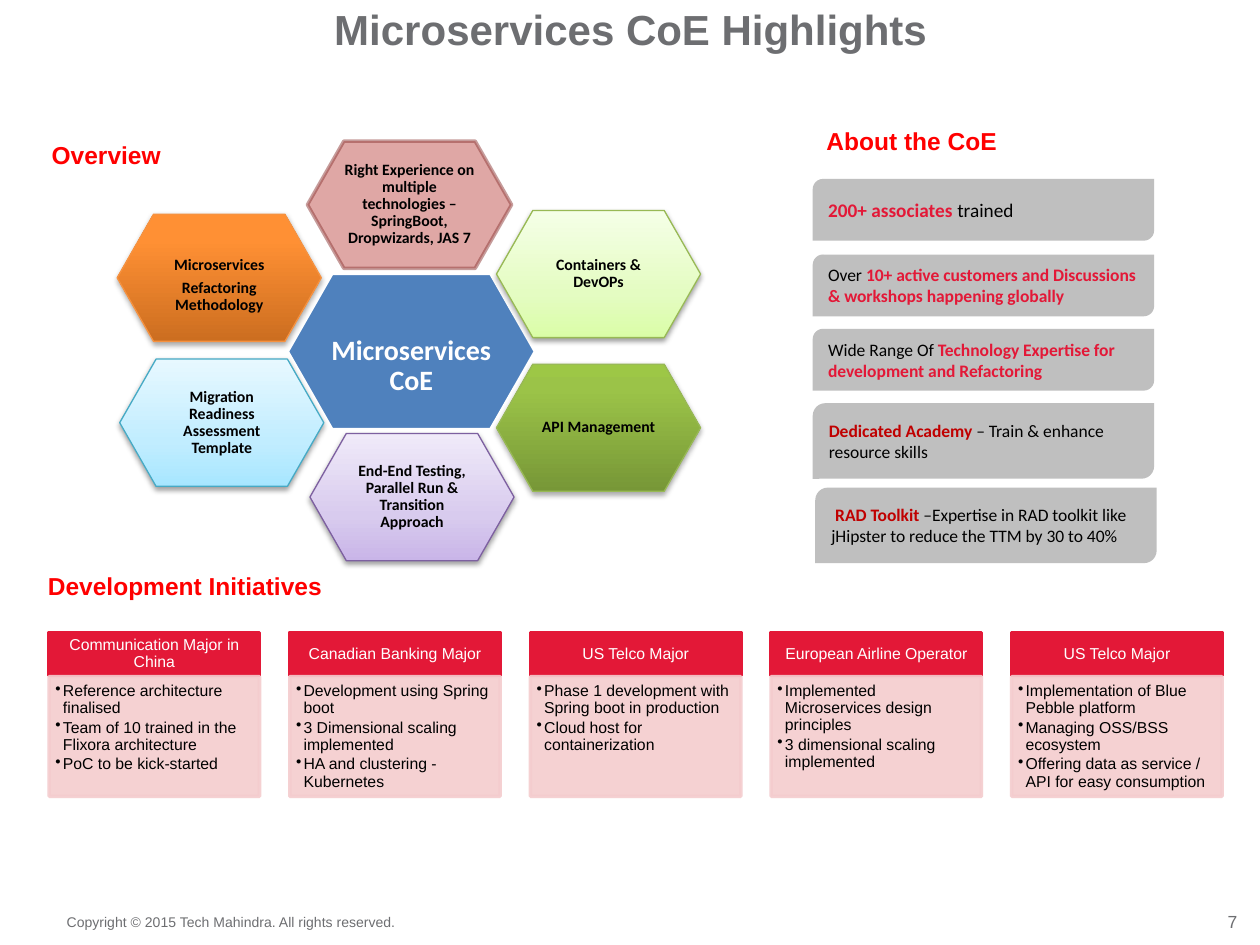
from lxml.etree import SubElement
from pptx import Presentation
from pptx.dml.color import RGBColor
from pptx.enum.shapes import MSO_SHAPE
from pptx.enum.text import MSO_ANCHOR, MSO_AUTO_SIZE, PP_ALIGN
from pptx.oxml import parse_xml
from pptx.oxml.ns import nsdecls, qn
from pptx.util import Inches, Pt

WIDTH, HEIGHT = 10, 7.5
GREY, RED, CRIMSON, DARK_RED = "6D6E71", "FF0000", "E31837", "C00000"
BLACK, WHITE, SILVER, PINK = "000000", "FFFFFF", "BFBFBF", "F4CCCE"

# text, (left, top, width, height), size, colour, bold, alignment, wrap
LABELS = [
    ("7", (9.65, 7.23, 0.17, 0.17), 10, GREY, False, "RIGHT", False),
    ("Copyright © 2015 Tech Mahindra. All rights reserved.",
     (0.53, 7.25, 2.66, 0.13), 8, GREY, False, "LEFT", False),
    ("Microservices CoE Highlights", (0.31, 0.03, 9.39, 0.4), 24, GREY, True, "CENTER", True),
    ("About the CoE", (6.56, 1, 2.26, 0.24), 14, RED, True, "LEFT", True),
    ("Development Initiatives", (0.38, 4.53, 2.26, 0.24), 14, RED, True, "LEFT", True),
    ("Overview", (0.41, 1.11, 2.26, 0.24), 14, RED, True, "LEFT", True),
]

# left, top, height, size, runs of (text, colour); coloured runs are bold
FACTS = [
    (6.45, 1.42, 0.49, 11, [("200+ associates ", CRIMSON), ("trained", BLACK)]),
    (6.45, 2.02, 0.49, 10, [("Over ", BLACK), (
        "10+ active customers and Discussions & workshops happening globally", CRIMSON)]),
    (6.45, 2.61, 0.49, 10, [("Wide Range Of ", BLACK), (
        "Technology Expertise for development and Refactoring", CRIMSON)]),
    (6.45, 3.2, 0.6, 10, [("Dedicated Academy ", DARK_RED),
                          ("– Train & enhance resource skills", BLACK)]),
    (6.47, 3.87, 0.6, 10, [(" RAD Toolkit", DARK_RED), (
        " –Expertise in RAD toolkit like jHipster to reduce the TTM by 30 to 40%", BLACK)]),
]
FACT_WIDTH = 2.71

INITIATIVES = [
    ("Communication Major in China",
     ["Reference architecture finalised", "Team of 10 trained in the Flixora architecture",
      "PoC to be kick-started"]),
    ("Canadian Banking Major",
     ["Development using Spring boot", "3 Dimensional scaling implemented",
      "HA and clustering - Kubernetes"]),
    ("US Telco Major",
     ["Phase 1 development with Spring boot in production", "Cloud host for containerization"]),
    ("European Airline Operator",
     ["Implemented Microservices design principles", "3 dimensional scaling implemented"]),
    ("US Telco Major",
     ["Implementation of Blue Pebble platform", "Managing OSS/BSS ecosystem",
      "Offering data as service / API for easy consumption"]),
]
CARD_LEFT, CARD_TOP, CARD_PITCH, CARD_WIDTH = 0.39, 5.02, 1.91, 1.67
HEADER_HEIGHT, BODY_TOP, BODY_HEIGHT = 0.34, 5.37, 0.95

# left, top, paragraphs, gradient stops from the bottom up, line, shadow opacity, text shift
HEXAGONS = [
    (3.94, 1.67, ["Containers & DevOPs"],
     [(0, "DAFDA7"), (35, "E4FCC2"), (100, "F5FFE7")], "98B955", 38, 0),
    (3.94, 2.89, ["API Management"],
     [(0, "779737"), (80, "9BC348"), (100, "9DC746")], "98B955", 35, 0),
    (2.46, 3.44, ["End-End Testing, Parallel Run & Transition Approach"],
     [(0, "C9B5E8"), (35, "D8CBEE"), (100, "F0EAF9")], "7D60A0", 38, 0),
    (0.95, 2.85, ["Migration Readiness Assessment Template"],
     [(0, "A7E6FF"), (35, "C1EDFF"), (100, "E7F8FF")], "46AAC5", 38, 0),
    (0.93, 1.7, ["Microservices", "Refactoring Methodology"],
     [(0, "CC6E20"), (80, "FF9034"), (100, "FF9136")], "F69240", 35, 0.06),
]
HEXAGON_WIDTH, HEXAGON_HEIGHT = 1.62, 1.01


def set_color(target, color, opacity=100):
    """Give a solid fill, or the fill of a line, a colour and an opacity in percent."""
    target.solid()
    target.fore_color.rgb = RGBColor.from_string(color)
    if opacity < 100:
        choice = target._xPr.find(qn("a:solidFill"))[0]
        SubElement(choice, qn("a:alpha"), val=str(opacity * 1000))


def add_box(slide, kind, box, fill=None, line=None, line_width=2, opacity=100, line_opacity=100):
    shape = slide.shapes.add_shape(kind, *map(Inches, box))
    shape.shadow.inherit = False
    if fill:
        set_color(shape.fill, fill, opacity)
    if line:
        set_color(shape.line.fill, line, line_opacity)
        shape.line.width = Pt(line_width)
    else:
        shape.line.fill.background()
    return shape


def add_text_box(slide, box):
    return slide.shapes.add_textbox(*map(Inches, box))


def write(shape, paragraphs, size, font="Arial", align="LEFT", anchor="MIDDLE",
          insets=(0, 0, 0, 0), wrap=True, bullet=False, **spacing):
    """Fill a shape with paragraphs, each a list of (text, colour, bold) runs."""
    frame = shape.text_frame
    frame.word_wrap = wrap
    frame.vertical_anchor = MSO_ANCHOR[anchor]
    for side, inset in zip(("left", "top", "right", "bottom"), insets):
        setattr(frame, f"margin_{side}", Inches(inset))
    for index, runs in enumerate(paragraphs):
        paragraph = frame.add_paragraph() if index else frame.paragraphs[0]
        paragraph.alignment = PP_ALIGN[align]
        for name, value in spacing.items():
            setattr(paragraph, name, value)
        if bullet:
            properties = paragraph._p.get_or_add_pPr()
            properties.set("marL", str(Inches(0.06)))
            properties.set("indent", str(-Inches(0.06)))
            SubElement(properties, qn("a:buChar"), char="•")
        for text, color, bold in runs:
            run = paragraph.add_run()
            run.text = text
            for name, value in {"name": font, "size": Pt(size), "bold": bold}.items():
                setattr(run.font, name, value)
            set_color(run.font.fill, color)


def set_gradient(shape, stops):
    stop_xml = "".join(f'<a:gs pos="{position * 1000}"><a:srgbClr val="{color}"/></a:gs>'
                       for position, color in stops)
    gradient = parse_xml(f'<a:gradFill {nsdecls("a")} rotWithShape="1"><a:gsLst>{stop_xml}'
                         '</a:gsLst><a:lin ang="16200000" scaled="0"/></a:gradFill>')
    shape._element.spPr.find(qn("a:prstGeom")).addnext(gradient)


def set_shadow(shape, opacity):
    effects = shape._element.spPr.find(qn("a:effectLst"))
    shadow = SubElement(effects, qn("a:outerShdw"), blurRad="40000", dist="20000",
                        dir="5400000", rotWithShape="0")
    color = SubElement(shadow, qn("a:srgbClr"), val=BLACK)
    SubElement(color, qn("a:alpha"), val=str(opacity * 1000))


def add_hexagon(slide, box, texts, size=9, color=BLACK, text_shift=0, **look):
    """Draw a hexagon with a text box over its middle two thirds."""
    left, top, width, height = box
    hexagon = add_box(slide, MSO_SHAPE.HEXAGON, box, **look)
    hexagon.adjustments[0] = 0.286
    text_box = add_text_box(slide, (left + width / 6, top + height / 6 + text_shift,
                                    width * 2 / 3, height * 2 / 3))
    write(text_box, [[(text, color, True)] for text in texts], size, "Calibri", "CENTER",
          insets=(0.02,) * 4, line_spacing=0.9, space_after=Pt(size * 0.35))
    return hexagon


def add_initiative(slide, left, title, points):
    header = add_box(slide, MSO_SHAPE.RECTANGLE, (left, CARD_TOP, CARD_WIDTH, HEADER_HEIGHT),
                     CRIMSON, CRIMSON)
    write(header, [[(title, WHITE, False)]], 9, align="CENTER",
          insets=(0.07, 0.04, 0.07, 0.04), line_spacing=0.9)
    body = add_box(slide, MSO_SHAPE.RECTANGLE, (left, BODY_TOP, CARD_WIDTH, BODY_HEIGHT),
                   PINK, PINK, opacity=90, line_opacity=90)
    write(body, [[(point, BLACK, False)] for point in points], 9, anchor="TOP", bullet=True,
          insets=(0.05, 0.05, 0.07, 0.08), line_spacing=0.9, space_after=Pt(1.5))


def main():
    presentation = Presentation()
    presentation.slide_width, presentation.slide_height = Inches(WIDTH), Inches(HEIGHT)
    slide = presentation.slides.add_slide(presentation.slide_layouts[6])

    for text, box, size, color, bold, align, wrap in LABELS:
        label = add_text_box(slide, box)
        write(label, [[(text, color, bold)]], size, align=align, anchor="TOP", wrap=wrap)
        label.text_frame.auto_size = MSO_AUTO_SIZE.SHAPE_TO_FIT_TEXT

    for left, top, height, size, runs in FACTS:
        fact = add_box(slide, MSO_SHAPE.ROUND_2_DIAG_RECTANGLE,
                       (left, top, FACT_WIDTH, height), SILVER)
        write(fact, [[(text, color, color != BLACK) for text, color in runs]], size, "Calibri",
              insets=(0.1, 0.05, 0.1, 0.05))

    for column, (title, points) in enumerate(INITIATIVES):
        add_initiative(slide, CARD_LEFT + column * CARD_PITCH, title, points)

    add_hexagon(slide, (2.28, 2.17, 1.97, 1.24), ["Microservices CoE"], 16, WHITE, 0.12,
                fill="4F81BD", line=WHITE)
    add_hexagon(slide, (2.44, 1.12, HEXAGON_WIDTH, HEXAGON_HEIGHT),
                ["Right Experience on multiple technologies – SpringBoot, Dropwizards, JAS 7"],
                fill="C0504D", opacity=50, line="8E3B39", line_opacity=49)
    for left, top, texts, stops, line, shadow_opacity, text_shift in HEXAGONS:
        hexagon = add_hexagon(slide, (left, top, HEXAGON_WIDTH, HEXAGON_HEIGHT), texts,
                              text_shift=text_shift, line=line, line_width=0.75)
        set_gradient(hexagon, stops)
        set_shadow(hexagon, shadow_opacity)

    presentation.save("out.pptx")


if __name__ == "__main__":
    main()
